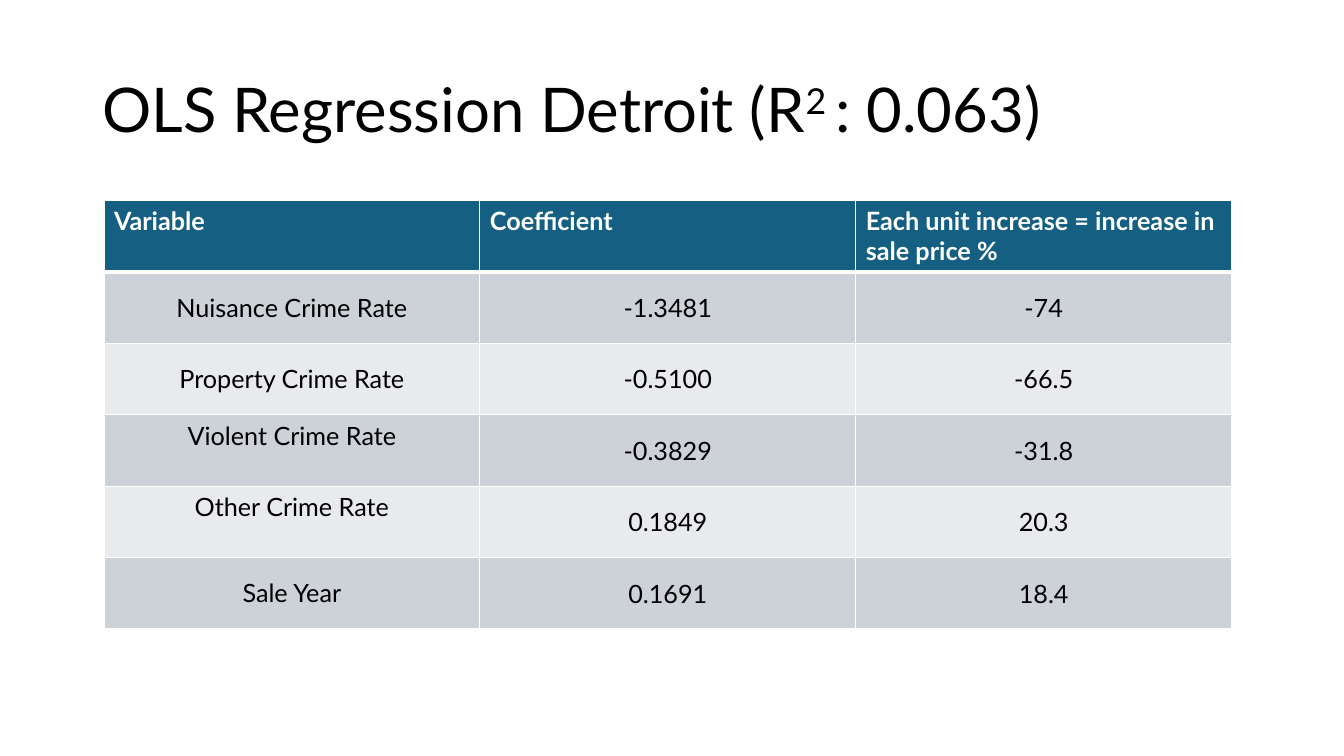
from dataclasses import dataclass

from lxml import etree
from pptx import Presentation
from pptx.dml.color import RGBColor
from pptx.enum.text import MSO_ANCHOR, PP_ALIGN
from pptx.oxml.ns import qn
from pptx.util import Emu, Pt

MIDDLE, TOP = MSO_ANCHOR.MIDDLE, MSO_ANCHOR.TOP
CENTER, LEFT = PP_ALIGN.CENTER, PP_ALIGN.LEFT
EMU_PER_PX = 9525
BLANK_LAYOUT = 6


@dataclass(frozen=True)
class Theme:
    font: str = "Lato"
    title_size: int = 44
    table_size: int = 18
    text: str = "000000"
    header_text: str = "FFFFFF"
    header_fill: str = "156082"
    bands: tuple[str, str] = ("CCD2D8", "E8EAED")
    border: str = "FFFFFF"
    border_width: int = 1
    header_rule: int = 3


@dataclass(frozen=True)
class Box:
    left: int
    top: int
    width: int
    height: int


@dataclass(frozen=True)
class Row:
    variable: str
    coefficient: str
    increase: str
    label_bottom: int = 5  # bottom margin of the first cell


THEME = Theme()
SLIDE = Box(0, 0, 1280, 720)
TITLE_BOX = Box(88, 38, 1104, 139)
TABLE_BOX = Box(99, 191, 1074, 408)
RAISED = 33
TITLE_PARTS = (("OLS Regression Detroit (R", 0), ("2 ", 30000), (": 0.063)", 0))
HEADER = Row("Variable", "Coefficient", "Each unit increase = increase in sale price %")
ROWS = (
    Row("Nuisance Crime Rate", "-1.3481", "-74"),
    Row("Property Crime Rate", "-0.5100", "-66.5"),
    Row("Violent Crime Rate", "-0.3829", "-31.8", RAISED),
    Row("Other Crime Rate", "0.1849", "20.3", RAISED),
    Row("Sale Year", "0.1691", "18.4"),
)


def px(length: int) -> Emu:
    return Emu(length * EMU_PER_PX)


def place(box: Box) -> tuple[Emu, Emu, Emu, Emu]:
    return px(box.left), px(box.top), px(box.width), px(box.height)


def style_font(font, size: int, color: str, bold: bool = False) -> None:
    font.name = THEME.font
    font.size = Pt(size)
    font.bold = bold
    font.color.rgb = RGBColor.from_string(color)


def add_title(slide) -> None:
    text_frame = slide.shapes.add_textbox(*place(TITLE_BOX)).text_frame
    text_frame.word_wrap = True
    text_frame.vertical_anchor = MIDDLE
    paragraph = text_frame.paragraphs[0]
    paragraph.line_spacing = 0.9
    for text, baseline in TITLE_PARTS:
        run = paragraph.add_run()
        run.text = text
        style_font(run.font, THEME.title_size, THEME.text)
        if baseline:
            run._r.get_or_add_rPr().set("baseline", str(baseline))


def add_borders(cell, top: int, bottom: int) -> None:
    properties = cell._tc.get_or_add_tcPr()
    side = THEME.border_width
    for tag, width in (("lnL", side), ("lnR", side), ("lnT", top), ("lnB", bottom)):
        line = etree.SubElement(properties, qn(f"a:{tag}"), w=str(Pt(width)))
        fill = etree.SubElement(line, qn("a:solidFill"))
        etree.SubElement(fill, qn("a:srgbClr"), val=THEME.border)


def fill_cell(cell, text: str, row_index: int) -> None:
    is_header = row_index == 0
    top = THEME.header_rule if row_index == 1 else THEME.border_width
    bottom = THEME.header_rule if is_header else THEME.border_width
    add_borders(cell, top, bottom)
    fill = THEME.header_fill if is_header else THEME.bands[(row_index - 1) % 2]
    cell.fill.solid()
    cell.fill.fore_color.rgb = RGBColor.from_string(fill)
    cell.vertical_anchor = TOP if is_header else MIDDLE
    cell.text_frame.text = text
    paragraph = cell.text_frame.paragraphs[0]
    paragraph.alignment = LEFT if is_header else CENTER
    color = THEME.header_text if is_header else THEME.text
    style_font(paragraph.runs[0].font, THEME.table_size, color, is_header)


def add_results_table(slide) -> None:
    rows = (HEADER, *ROWS)
    table = slide.shapes.add_table(len(rows), 3, *place(TABLE_BOX)).table
    table.horz_banding = False
    for row_index, row in enumerate(rows):
        for column, text in enumerate((row.variable, row.coefficient, row.increase)):
            fill_cell(table.cell(row_index, column), text, row_index)
        table.cell(row_index, 0).margin_bottom = px(row.label_bottom)


def main() -> None:
    presentation = Presentation()
    presentation.slide_width = px(SLIDE.width)
    presentation.slide_height = px(SLIDE.height)
    slide = presentation.slides.add_slide(presentation.slide_layouts[BLANK_LAYOUT])
    add_title(slide)
    add_results_table(slide)
    presentation.save("out.pptx")


if __name__ == "__main__":
    main()
